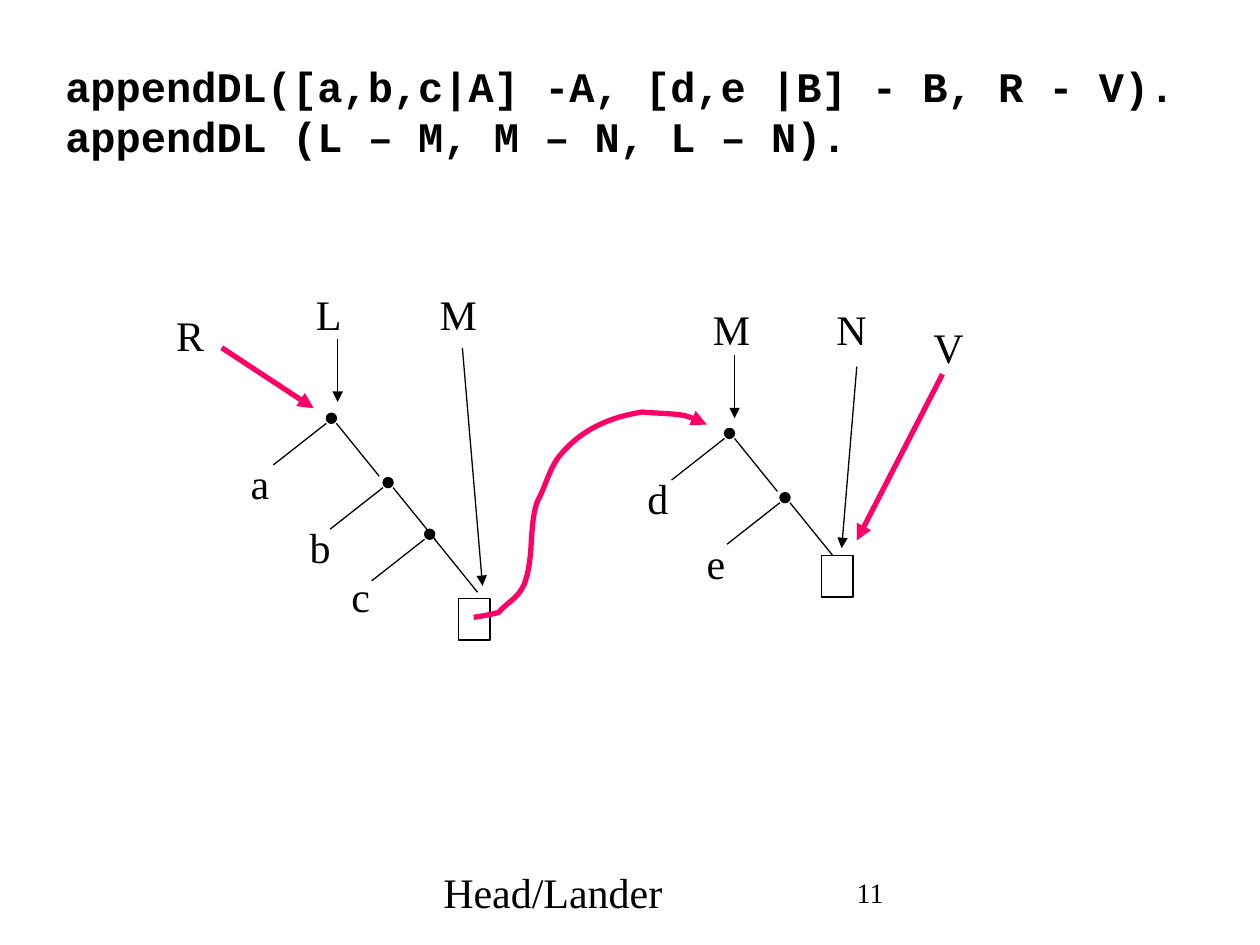
from pptx import Presentation
from pptx.dml.color import RGBColor
from pptx.enum.shapes import MSO_CONNECTOR as Link, MSO_SHAPE as Kind
from pptx.enum.text import MSO_ANCHOR as Anchor
from pptx.oxml.ns import qn
from pptx.util import Pt
from lxml.etree import SubElement as sub

PX = 9144  # 100 px to the inch
BLACK, PINK = "000000", "FF0066"
SERIF, MONO = "Times New Roman", "Courier New"
hue = RGBColor.from_string

deck = Presentation()
deck.slide_width, deck.slide_height = 1000 * PX, 750 * PX
slide = deck.slides.add_slide(deck.slide_layouts[6])
shapes = slide.shapes


def write(rows, x, y, w, h, size=24, font=SERIF, bold=False, wrap=True, anchor=Anchor.TOP):
    """Add a text box with one run per row, split by line breaks."""
    frame = shapes.add_textbox(x * PX, y * PX, w * PX, h * PX).text_frame
    frame.word_wrap = wrap
    frame.vertical_anchor = anchor
    para = frame.paragraphs[0]
    for i, row in enumerate(rows):
        if i:
            para.add_line_break()
        run = para.add_run()
        run.text = row
        run.font.size, run.font.name, run.font.bold = Pt(size), font, bold
        run.font.color.rgb = hue(BLACK)


def stroke(item, color=BLACK, width=0.75, arrow=False):
    """Set the line of a shape or connector and drop any shadow."""
    item.line.color.rgb = hue(color)
    item.line.width = Pt(width)
    if arrow:
        sub(item.line._get_or_add_ln(), qn("a:tailEnd"), type="triangle")
    sub(item._element.spPr, qn("a:effectLst"))


write(["appendDL([a,b,c|A] -A, [d,e |B] - B, R - V).",
       "appendDL (L – M, M – N, L – N)."],
      42, 42, 933, 92, font=MONO, bold=True, anchor=Anchor.MIDDLE)

# Letters: text, left, top, width
for text, x, y, w in [
    ("L", 241, 224, 40), ("M", 339, 224, 49), ("M", 556, 236, 49), ("N", 654, 236, 44),
    ("a", 189, 358, 35), ("b", 236, 409, 36), ("c", 269, 448, 35),
    ("d", 504, 370, 36), ("e", 551, 422, 35), ("R", 130, 241, 51), ("V", 731, 250, 51),
]:
    write([text], x, y, w, 50, wrap=False)

# List cells: a dot with a branch to its item and one to the rest
lines = []
for x, y in [(259, 328), (304, 379), (337, 420), (575, 340), (619, 391)]:
    dot = shapes.add_shape(Kind.OVAL, x * PX, y * PX, 8 * PX, 8 * PX)
    dot.fill.solid()
    dot.fill.fore_color.rgb = hue(BLACK)
    stroke(dot)
    lines += [(x, y + 8, x - 42, y + 41, BLACK, 0.75, False),
              (x + 8, y + 8, x + 42, y + 50, BLACK, 0.75, False)]

# Open tails
for x, y in [(364, 475), (652, 441)]:
    box = shapes.add_shape(Kind.RECTANGLE, x * PX, y * PX, 25 * PX, 33 * PX)
    box.fill.background()
    stroke(box)

# Pointers from the variables
lines += [(*ends, BLACK, 0.75, True) for ends in [
    (268, 269, 268, 319), (367, 276, 383, 465),
    (583, 282, 583, 332), (680, 291, 668, 435)]]
lines += [(*ends, PINK, 3, True) for ends in [(176, 276, 249, 324), (748, 297, 680, 429)]]
for x1, y1, x2, y2, color, width, arrow in lines:
    line = shapes.add_connector(Link.STRAIGHT, x1 * PX, y1 * PX, x2 * PX, y2 * PX)
    stroke(line, color, width, arrow)

# Curve that joins the first tail to the second list: three points a bend
bends = [
    (382, 489), (389, 488), (396, 486), (400, 481), (405, 478), (410, 473),
    (413, 470), (416, 464), (416, 464), (419, 456), (420, 449), (421, 440),
    (422, 430), (422, 408), (427, 397), (433, 386), (436, 372), (444, 362),
    (461, 341), (484, 331), (510, 327), (517, 328), (535, 328), (544, 330),
    (547, 331), (550, 332), (553, 333), (554, 333), (557, 334), (557, 334),
    (559, 335), (561, 337), (561, 337),
]
pen = shapes.build_freeform(376, 490, scale=PX)
pen.add_line_segments(bends, close=False)
curve = pen.convert_to_shape()
track = curve._element.spPr.find(".//" + qn("a:path"))
steps = track.findall(qn("a:lnTo"))
for i in range(0, len(steps), 3):
    bend = sub(track, qn("a:cubicBezTo"))
    for step in steps[i:i + 3]:
        bend.append(step[0])
        track.remove(step)
curve.fill.background()
stroke(curve, PINK, 3, True)

write(["Head/Lander"], 342, 683, 316, 50, anchor=Anchor.MIDDLE)
write(["11"], 670, 683, 255, 50, size=16, anchor=Anchor.MIDDLE)

deck.save("out.pptx")
